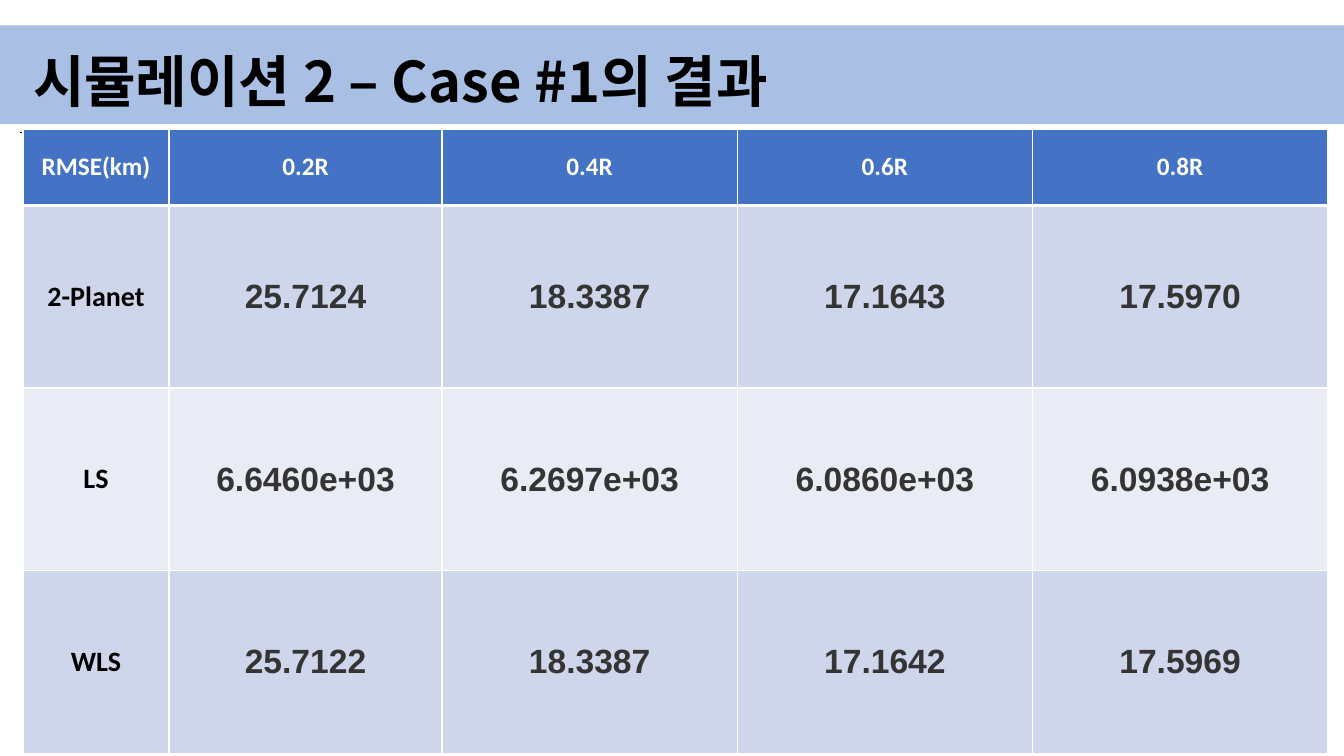
from lxml.etree import SubElement
from pptx import Presentation
from pptx.dml.color import RGBColor
from pptx.enum.shapes import MSO_CONNECTOR as Connector, MSO_SHAPE as Shape
from pptx.enum.text import MSO_ANCHOR as Anchor, MSO_AUTO_SIZE as AutoSize, PP_ALIGN as Align
from pptx.oxml.ns import qn
from pptx.util import Cm, Pt

COLORS = {
    "blue": "4472C4", "white": "FFFFFF", "black": "000000",
    "figure": "343434", "odd": "CFD5EA", "even": "E9EBF5",
}
TITLE = {"name": "Noto Sans CJK KR", "size": Pt(40), "bold": True}
HEADER = {"name": "Calibri", "size": Pt(18), "bold": True}
METHOD = {"name": "Calibri", "size": Pt(20), "bold": True}
FIGURE = {"name": "Arial", "size": Pt(24), "bold": True}
CELL = {"vertical_anchor": Anchor.MIDDLE}
TIGHT = {f"margin_{side}": Cm(0.08) for side in ("left", "right", "top", "bottom")}
COLUMNS = (3.68, 6.88, 7.44, 7.44, 7.44)
ROWS = (1.93, 4.6, 4.6, 4.6)
RESULTS = (
    ("RMSE(km)", "0.2R", "0.4R", "0.6R", "0.8R"),
    ("2-Planet", "25.7124", "18.3387", "17.1643", "17.5970"),
    ("LS", "6.6460e+03", "6.2697e+03", "6.0860e+03", "6.0938e+03"),
    ("WLS", "25.7122", "18.3387", "17.1642", "17.5969"),
)


def color(name):
    return RGBColor.from_string(COLORS[name])


def apply(target, values):
    for name, value in values.items():
        setattr(target, name, value)


def write(para, text, font, ink):
    span = para.add_run()
    span.text = text
    apply(span.font, font)
    span.font.color.rgb = color(ink)
    return span


def add_band(page, left, top, width, height):
    band = page.shapes.add_shape(Shape.RECTANGLE, Cm(left), Cm(top), Cm(width), Cm(height))
    band.shadow.inherit = False
    band.fill.solid()
    band.fill.fore_color.rgb = color("blue")
    tint = band.fill._xPr.find(".//" + qn("a:srgbClr"))
    SubElement(tint, qn("a:alpha"), val="45000")
    band.line.fill.background()
    page.shapes._spTree.insert(2, band._element)


def add_title(page, left, top, width, height):
    title = page.shapes.title
    apply(title, {"left": Cm(left), "top": Cm(top), "width": Cm(width), "height": Cm(height)})
    apply(title.text_frame, {"word_wrap": True, "auto_size": AutoSize.NONE,
                             "vertical_anchor": Anchor.MIDDLE})
    para = title.text_frame.paragraphs[0]
    apply(para, {"alignment": Align.LEFT, "line_spacing": 0.9})
    span = write(para, "시뮬레이션 2 – Case #1의 결과", TITLE, "black")
    SubElement(span.font._element, qn("a:ea"), typeface=TITLE["name"])


def add_rule(page, left, top, width):
    rule = page.shapes.add_connector(
        Connector.STRAIGHT, Cm(left), Cm(top), Cm(left + width), Cm(top))
    rule.line.color.rgb = color("black")
    rule.line.width = Pt(0.25)
    SubElement(rule._element.spPr, qn("a:effectLst"))


def add_borders(cell, row):
    widths = {"L": 1, "R": 1, "T": 3 if row == 1 else 1, "B": 3 if row == 0 else 1}
    properties = cell._tc.get_or_add_tcPr()
    for side, width in widths.items():
        border = SubElement(properties, qn(f"a:ln{side}"), w=str(Pt(width)))
        fill = SubElement(border, qn("a:solidFill"))
        SubElement(fill, qn("a:srgbClr"), val=COLORS["white"])


def fill_cell(cell, row, column, text):
    add_borders(cell, row)
    apply(cell, CELL)
    if row == 0:
        font, ink, shade = HEADER, "white", "blue"
    else:
        font, ink = (FIGURE, "figure") if column else (METHOD, "black")
        shade = "odd" if row % 2 else "even"
        if column:
            apply(cell, TIGHT)
    cell.fill.solid()
    cell.fill.fore_color.rgb = color(shade)
    para = cell.text_frame.paragraphs[0]
    para.alignment = Align.CENTER
    write(para, text, font, ink)


def add_results(page, left, top):
    table = page.shapes.add_table(
        len(ROWS), len(COLUMNS), Cm(left), Cm(top), Cm(sum(COLUMNS)), Cm(sum(ROWS))).table
    for column, width in zip(table.columns, COLUMNS):
        column.width = Cm(width)
    for row, height in zip(table.rows, ROWS):
        row.height = Cm(height)
    for row, values in enumerate(RESULTS):
        for column, text in enumerate(values):
            fill_cell(table.cell(row, column), row, column, text)


def main():
    deck = Presentation()
    apply(deck, {"slide_width": Cm(33.87), "slide_height": Cm(19.05)})
    page = deck.slides.add_slide(deck.slide_layouts[5])
    add_band(page, -0.64, 0.64, 35.13, 2.49)
    add_title(page, 0.58, 1.02, 32.69, 2.21)
    add_rule(page, 0.51, 3.33, 32.87)
    add_results(page, 0.58, 3.25)
    deck.save("out.pptx")


if __name__ == "__main__":
    main()
